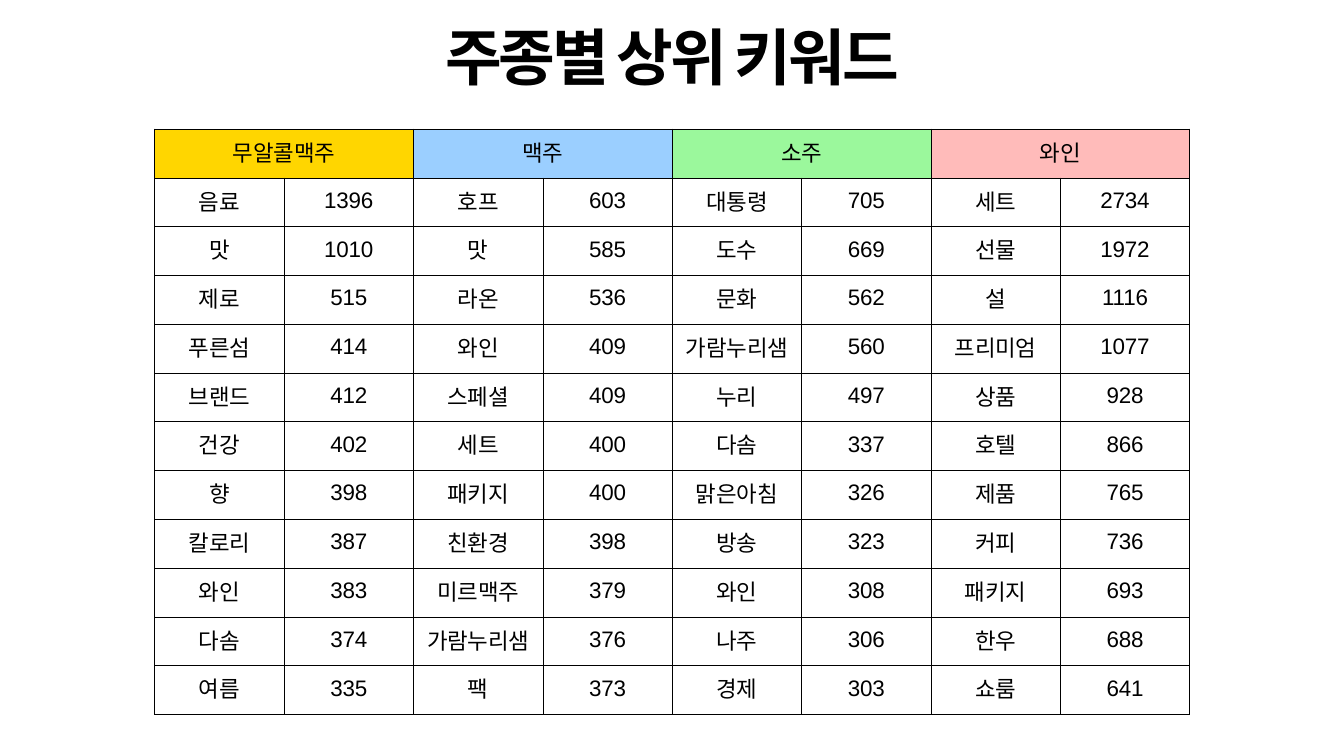
import pptx
import pptx.util
import pptx.dml.color
import pptx.enum.text
import pptx.oxml

Inches, Pt = pptx.util.Inches, pptx.util.Pt
RGB = pptx.dml.color.RGBColor.from_string
MIDDLE = pptx.enum.text.MSO_ANCHOR.MIDDLE
INSET = Inches(0.06)

COLORS = {"text": "000000", "line": "000000", "cell": "FFFFFF",
          "gold": "FFD600", "blue": "9BCFFF", "green": "9BF89C", "pink": "FFBBBA"}

DRINKS = [
    ("무알콜맥주", "gold",
     [("음료", 1396), ("맛", 1010), ("제로", 515), ("푸른섬", 414),
      ("브랜드", 412), ("건강", 402), ("향", 398), ("칼로리", 387),
      ("와인", 383), ("다솜", 374), ("여름", 335)]),
    ("맥주", "blue",
     [("호프", 603), ("맛", 585), ("라온", 536), ("와인", 409),
      ("스페셜", 409), ("세트", 400), ("패키지", 400), ("친환경", 398),
      ("미르맥주", 379), ("가람누리샘", 376), ("팩", 373)]),
    ("소주", "green",
     [("대통령", 705), ("도수", 669), ("문화", 562), ("가람누리샘", 560),
      ("누리", 497), ("다솜", 337), ("맑은아침", 326), ("방송", 323),
      ("와인", 308), ("나주", 306), ("경제", 303)]),
    ("와인", "pink",
     [("세트", 2734), ("선물", 1972), ("설", 1116), ("프리미엄", 1077),
      ("상품", 928), ("호텔", 866), ("제품", 765), ("커피", 736),
      ("패키지", 693), ("한우", 688), ("쇼룸", 641)]),
]


def write(frame, text, font, size, track, bold=False):
    """Fill a text frame with one centred line; track is letter spacing in points."""
    line = frame.paragraphs[0]
    line.alignment = pptx.enum.text.PP_ALIGN.CENTER
    line.line_spacing = 0.8
    line.font.name, line.font.size, line.font.bold = font, Pt(size), bold
    line.font.color.rgb = RGB(COLORS["text"])
    run = line.add_run()
    run.text = text
    run._r.get_or_add_rPr().set("spc", str(round(track * 100)))
    return line


def rule(cell):
    """Draw a thin line on all four sides of a cell."""
    props = cell._tc.get_or_add_tcPr()
    for side in ("lnL", "lnR", "lnT", "lnB"):
        props.append(pptx.oxml.parse_xml(
            f'<a:{side} xmlns:a="http://schemas.openxmlformats.org/drawingml/2006/main"'
            f' w="{Pt(1)}"><a:solidFill><a:srgbClr val="{COLORS["line"]}"/>'
            f'</a:solidFill></a:{side}>'))


def fill(cell, text, color):
    cell.fill.solid()
    cell.fill.fore_color.rgb = RGB(COLORS[color])
    cell.vertical_anchor = MIDDLE
    cell.margin_left = cell.margin_right = INSET
    cell.margin_top = cell.margin_bottom = INSET
    line = write(cell.text_frame, text, "Arial", 32, -0.3)
    line.space_before = Pt(4)


def add_title(slide, text, left, top, width, height):
    title = slide.shapes.title
    title.left, title.top = Inches(left), Inches(top)
    title.width, title.height = Inches(width), Inches(height)
    frame = title.text_frame
    frame.word_wrap = True
    frame.auto_size = pptx.enum.text.MSO_AUTO_SIZE.NONE
    frame.vertical_anchor = MIDDLE
    frame.margin_left = frame.margin_right = INSET
    frame.margin_top = frame.margin_bottom = INSET
    write(frame, text, "Lato", 88, -4.4, bold=True)


def add_ranks(slide, drinks, left, top, width, height):
    """Place a table with a word column and a count column for each drink."""
    rows, cols = 1 + len(drinks[0][2]), 2 * len(drinks)
    table = slide.shapes.add_table(rows, cols, Inches(left), Inches(top),
                                   Inches(width), Inches(height)).table
    table.horz_banding = table.first_row = False
    for row in table.rows:
        row.height = Inches(height / rows)
    for col in table.columns:
        col.width = Inches(width / cols)
    for cell in table.iter_cells():
        rule(cell)
    for i, (name, color, words) in enumerate(drinks):
        head = table.cell(0, 2 * i)
        head.merge(table.cell(0, 2 * i + 1))
        fill(head, name, color)
        for r, (word, count) in enumerate(words, 1):
            fill(table.cell(r, 2 * i), word, "cell")
            fill(table.cell(r, 2 * i + 1), str(count), "cell")


def main():
    deck = pptx.Presentation()
    deck.slide_width, deck.slide_height = Inches(26.67), Inches(15)
    slide = deck.slides.add_slide(deck.slide_layouts.get_by_name("Title Only"))
    add_title(slide, "주종별 상위 키워드", 4.41, 0.34, 17.85, 1.83)
    add_ranks(slide, DRINKS, 3.07, 2.56, 20.54, 11.62)
    deck.save("out.pptx")


if __name__ == "__main__":
    main()
